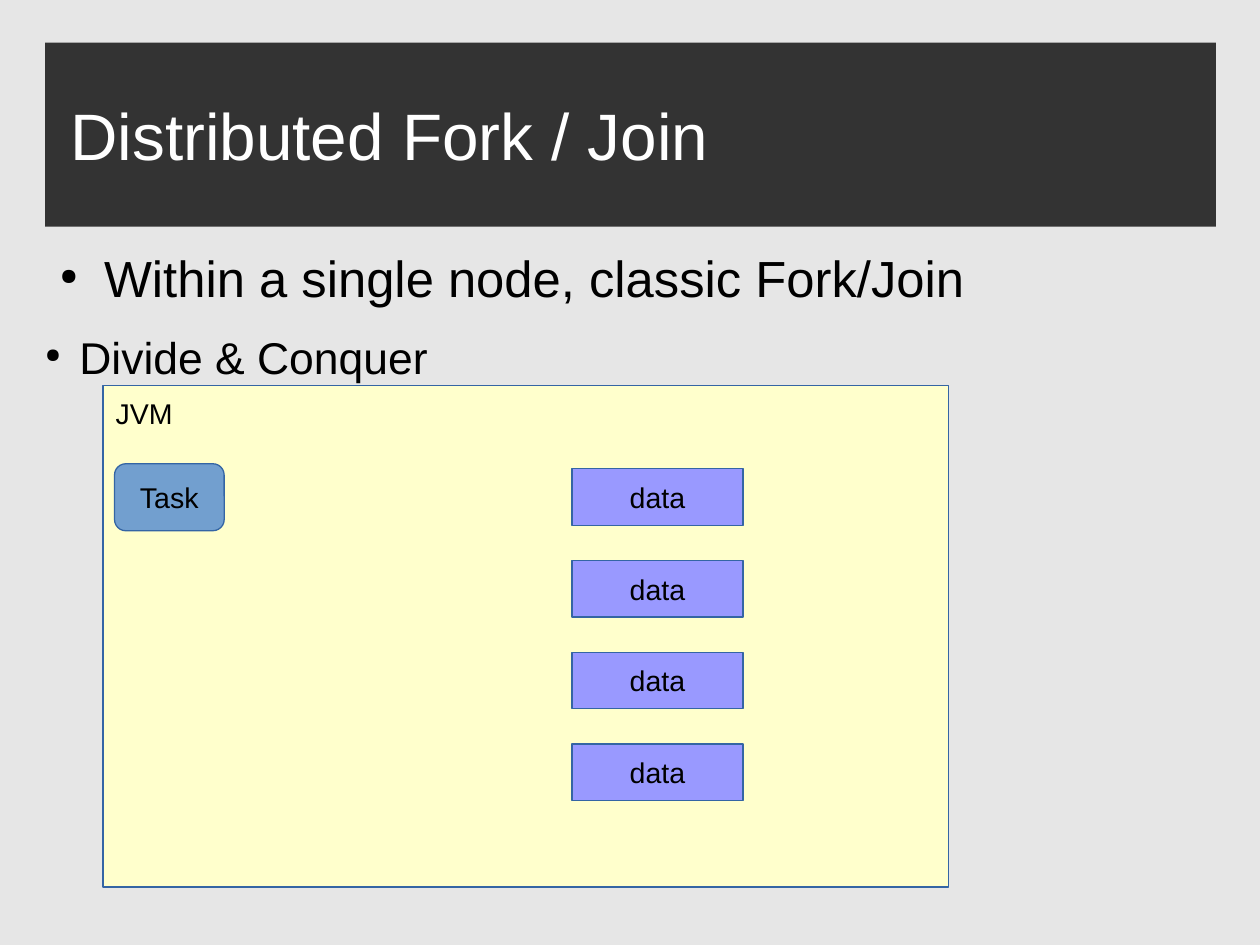
from dataclasses import dataclass

from lxml.etree import SubElement
from pptx import Presentation
from pptx.dml.color import RGBColor
from pptx.enum.shapes import MSO_SHAPE
from pptx.enum.text import MSO_ANCHOR, PP_ALIGN
from pptx.oxml.ns import qn
from pptx.util import Cm, Pt

BACKGROUND = RGBColor(0xE6, 0xE6, 0xE6)
TITLE_FILL = RGBColor(0x33, 0x33, 0x33)
WHITE = RGBColor(0xFF, 0xFF, 0xFF)
BLACK = RGBColor(0, 0, 0)
JVM_FILL = RGBColor(0xFF, 0xFF, 0xCC)
TASK_FILL = RGBColor(0x72, 0x9F, 0xCF)
DATA_FILL = RGBColor(0x99, 0x99, 0xFF)
OUTLINE = RGBColor(0x34, 0x65, 0xA4)

DATA_COUNT = 4
DATA_TOP = 9.45
DATA_STEP = 1.85


@dataclass
class Block:
    """A filled shape; lengths in centimetres."""
    left: float
    top: float
    width: float
    height: float
    fill: RGBColor
    text: str = ""
    kind: MSO_SHAPE = MSO_SHAPE.RECTANGLE


@dataclass
class Bullet:
    text: str
    size: float
    margin: float
    hanging: float
    after: float
    level: int = 0


def write(para, text: str, *, size: float = 16.3, color: RGBColor = BLACK,
          align: PP_ALIGN = PP_ALIGN.LEFT) -> None:
    para.alignment = align
    span = para.add_run()
    span.text = text
    span.font.name = "Arial"
    span.font.size = Pt(size)
    span.font.color.rgb = color


def set_indent(para, margin: float, hanging: float = 0) -> None:
    properties = para._p.get_or_add_pPr()
    properties.set("marL", str(Cm(margin)))
    properties.set("indent", str(-Cm(hanging)))


def clear_margins(frame) -> None:
    frame.margin_left = frame.margin_right = 0
    frame.margin_top = frame.margin_bottom = 0


def add_text_box(page, left: float, top: float, width: float, height: float):
    box = page.shapes.add_textbox(Cm(left), Cm(top), Cm(width), Cm(height))
    box.text_frame.word_wrap = True
    return box.text_frame


def add_bullet(para, bullet: Bullet) -> None:
    para.level = bullet.level
    set_indent(para, bullet.margin, bullet.hanging)
    properties = para._p.get_or_add_pPr()
    color = SubElement(properties, qn("a:buClr"))
    SubElement(color, qn("a:srgbClr"), val=str(BLACK))
    SubElement(properties, qn("a:buSzPct"), val="45000")
    SubElement(properties, qn("a:buChar"), char="●")
    para.space_after = Pt(bullet.after)
    write(para, bullet.text, size=bullet.size)


def add_block(page, block: Block) -> None:
    shape = page.shapes.add_shape(block.kind, Cm(block.left), Cm(block.top),
                                  Cm(block.width), Cm(block.height))
    shape.shadow.inherit = False
    shape.fill.solid()
    shape.fill.fore_color.rgb = block.fill
    shape.line.color.rgb = OUTLINE
    shape.line.width = Pt(0)
    if block.text:
        shape.text_frame.vertical_anchor = MSO_ANCHOR.MIDDLE
        write(shape.text_frame.paragraphs[0], block.text, align=PP_ALIGN.CENTER)


def add_title(page, text: str) -> None:
    title = page.shapes.title
    title.left, title.top = Cm(0.91), Cm(0.86)
    title.width, title.height = Cm(23.6), Cm(3.71)
    title.fill.solid()
    title.fill.fore_color.rgb = TITLE_FILL
    clear_margins(title.text_frame)
    title.text_frame.vertical_anchor = MSO_ANCHOR.MIDDLE
    para = title.text_frame.paragraphs[0]
    set_indent(para, 0.51)
    write(para, text, size=37.5, color=WHITE)


def main() -> None:
    deck = Presentation()
    deck.slide_width, deck.slide_height = Cm(25.4), Cm(19.05)
    page = deck.slides.add_slide(deck.slide_layouts[5])
    page.background.fill.solid()
    page.background.fill.fore_color.rgb = BACKGROUND

    add_title(page, "Distributed Fork / Join")

    # Bulleted text
    body = add_text_box(page, 0.91, 4.98, 23.6, 11.79)
    clear_margins(body)
    bullets = [
        Bullet("Within a single node, classic Fork/Join", 29, 1.19, 0.89, 12.8),
        Bullet("Divide & Conquer", 25.4, 0.69, 0.69, 10.3, level=1),
    ]
    for index, bullet in enumerate(bullets):
        para = body.add_paragraph() if index else body.paragraphs[0]
        add_bullet(para, bullet)

    # JVM container and its label
    add_block(page, Block(2.08, 7.77, 17.04, 10.11, JVM_FILL))
    label = add_text_box(page, 2.08, 7.85, 2.77, 1.6)
    write(label.paragraphs[0], "JVM")

    # Task and the column of data blocks
    add_block(page, Block(2.31, 9.35, 2.21, 1.35, TASK_FILL, "Task",
                          MSO_SHAPE.ROUNDED_RECTANGLE))
    for row in range(DATA_COUNT):
        add_block(page, Block(11.53, DATA_TOP + row * DATA_STEP, 3.45, 1.14,
                              DATA_FILL, "data"))

    deck.save("out.pptx")


if __name__ == "__main__":
    main()
